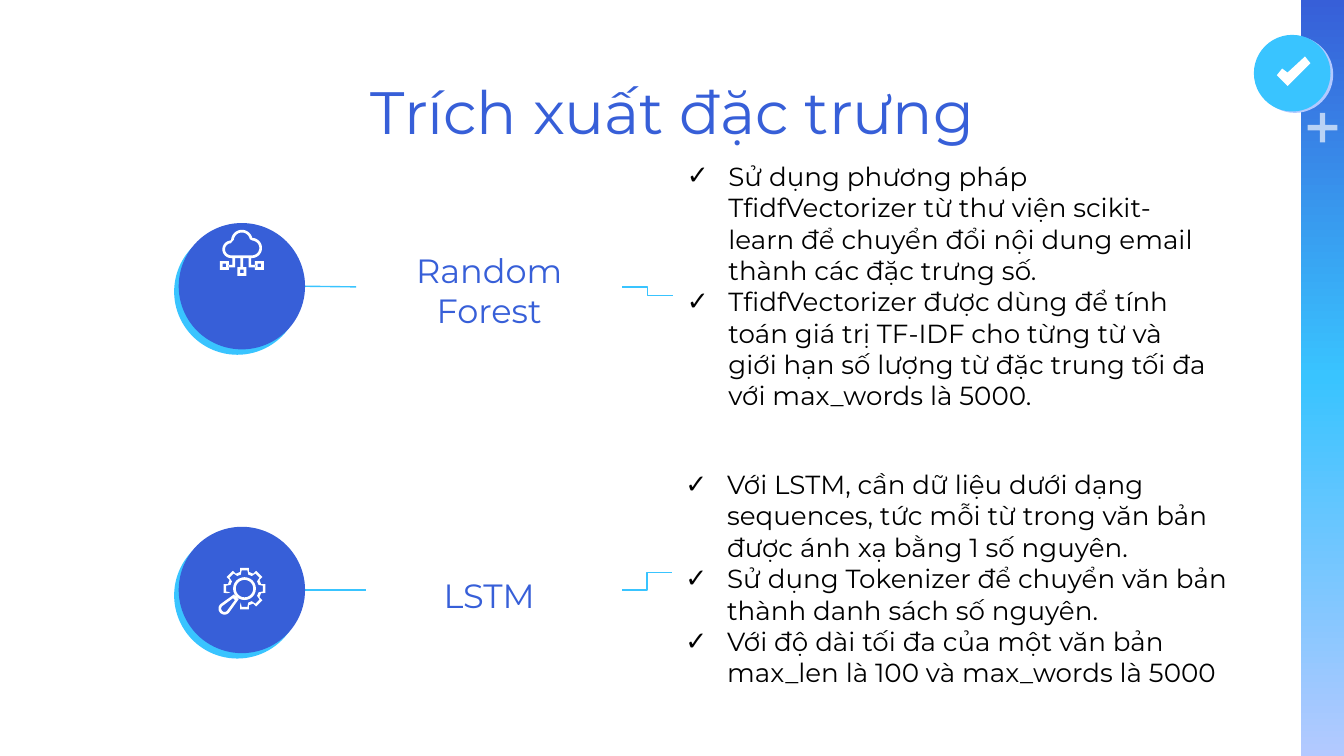
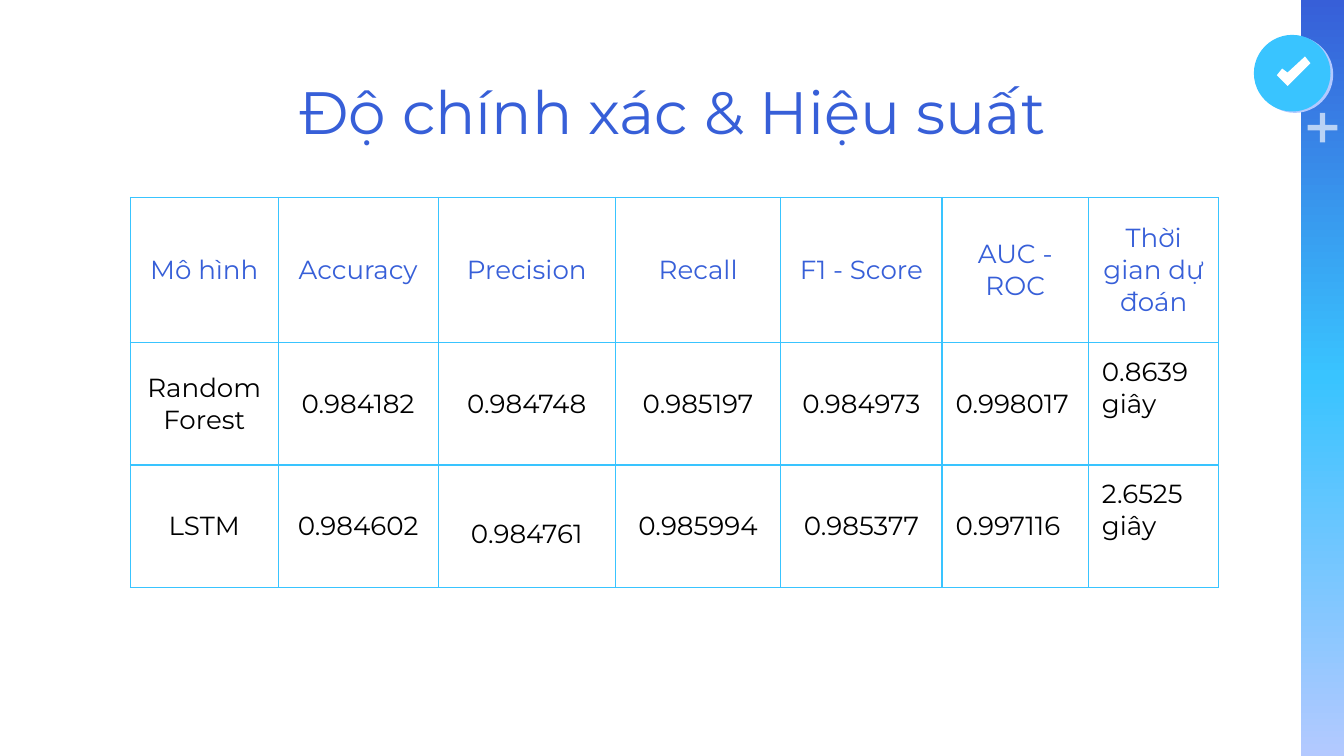
from dataclasses import dataclass
from math import cos, radians, sin

from pptx import Presentation
from pptx.dml.color import RGBColor
from pptx.enum.shapes import MSO_CONNECTOR, MSO_SHAPE
from pptx.enum.text import MSO_ANCHOR, MSO_AUTO_SIZE, PP_ALIGN
from pptx.oxml import parse_xml
from pptx.oxml.ns import nsdecls, qn
from pptx.util import Inches, Pt

CENTER, LEFT = PP_ALIGN.CENTER, PP_ALIGN.LEFT
TOP, MIDDLE, BOTTOM = MSO_ANCHOR.TOP, MSO_ANCHOR.MIDDLE, MSO_ANCHOR.BOTTOM
RECTANGLE, OVAL = MSO_SHAPE.RECTANGLE, MSO_SHAPE.OVAL
STRAIGHT, ELBOW = MSO_CONNECTOR.STRAIGHT, MSO_CONNECTOR.ELBOW
LEFT_SIDE, RIGHT_SIDE = 1, 3
TWO_CONTENT, TITLE_ONLY = 3, 5


@dataclass(frozen=True)
class Theme:
    font: str = "Montserrat"
    blue: str = "375FD8"
    cyan: str = "39C4FF"
    pale: str = "B3C9FF"
    white: str = "FFFFFF"
    black: str = "000000"
    title_size: int = 32
    label_size: int = 18
    body_size: int = 14
    line_width: float = 0.75
    margin: float = 0.1


THEME = Theme()
WIDTH = 10
HEIGHT = WIDTH * 9 / 16
BAND_WIDTH = 0.32
TITLE_BOX = (0.79, 0.46, 8.43, 0.64)

# Content: feature extraction
FEATURES_TITLE = "Trích xuất đặc trưng"
MODELS = [
    {
        "name": "Random Forest",
        "circle_top": 1.66, "label_box": (2.65, 1.71, 1.98, 0.85),
        "line": (2.13, 2.65, 2.14), "list_box": (5.01, 1.24, 4.08, 1.92),
        "joined": True,
        "points": [
            "Sử dụng phương pháp TfidfVectorizer từ thư viện scikit-learn "
            "để chuyển đổi nội dung email thành các đặc trưng số.",
            "TfidfVectorizer được dùng để tính toán giá trị TF-IDF cho từng từ "
            "và giới hạn số lượng từ đặc trung tối đa với max_words là 5000.",
        ],
    },
    {
        "name": "LSTM",
        "circle_top": 3.92, "label_box": (2.65, 4.1, 1.98, 0.58),
        "line": (4.39, 2.72, 4.39), "list_box": (5, 3.3, 4.45, 1.92),
        "joined": False,
        "points": [
            "Với LSTM, cần dữ liệu dưới dạng sequences, tức mỗi từ trong "
            "văn bản được ánh xạ bằng 1 số nguyên.",
            "Sử dụng Tokenizer để chuyển văn bản thành danh sách số nguyên.",
            "Với độ dài tối đa của một văn bản max_len là 100 và "
            "max_words là 5000",
        ],
    },
]
CIRCLE_LEFT, CIRCLE_SIZE = 1.33, 0.94

# Content: model scores
SCORES_TITLE = "Độ chính xác & Hiệu suất"
SCORES = [
    ["Mô hình", "Accuracy", "Precision", "Recall", "F1 - Score",
     "AUC - ROC", "Thời gian dự đoán"],
    ["Random Forest", "0.984182", "0.984748", "0.985197", "0.984973",
     "0.998017", "0.8639\ngiây"],
    ["LSTM", "0.984602", "0.984761", "0.985994", "0.985377",
     "0.997116", "2.6525\ngiây"],
]
TABLE_LEFT, TABLE_TOP = 0.97, 1.47
COLUMN_WIDTHS = [1.1, 1.19, 1.32, 1.23, 1.2, 1.09, 0.97]
ROW_HEIGHTS = [1.08, 0.91, 0.91]
FIRST_LEFT_COLUMN, TIME_COLUMN = 5, 6
LOOSE_CELL = (2, 2)

# Badge outlines, in inches
CHECK = [(9.71, 0.42), (9.58, 0.54), (9.54, 0.51), (9.5, 0.56),
         (9.58, 0.64), (9.75, 0.47)]
PLUS_CENTER, PLUS_ARM, PLUS_HALF = (9.84, 0.95), 0.11, 0.02


def color(value):
    return RGBColor.from_string(value)


def inches(values):
    return [Inches(value) for value in values]


def place(shape, box):
    shape.left, shape.top, shape.width, shape.height = inches(box)


# Text
def set_frame(frame, anchor):
    frame.word_wrap = True
    frame.auto_size = MSO_AUTO_SIZE.NONE
    frame.vertical_anchor = anchor
    margin = Inches(THEME.margin)
    frame.margin_left = frame.margin_right = margin
    frame.margin_top = frame.margin_bottom = margin


def write(frame, lines, size, ink, align=LEFT):
    for index, line in enumerate(lines):
        paragraph = frame.add_paragraph() if index else frame.paragraphs[0]
        paragraph.alignment = align
        paragraph.space_before = Pt(0)
        run = paragraph.add_run()
        run.text = line
        run.font.name, run.font.size = THEME.font, Pt(size)
        run.font.color.rgb = color(ink)


def add_bullets(frame):
    for paragraph in frame.paragraphs:
        properties = paragraph._p.get_or_add_pPr()
        properties.set("marL", str(Inches(0.31)))
        properties.set("indent", str(-Inches(0.31)))
        properties.append(parse_xml(
            f'<a:buClr {nsdecls("a")}><a:srgbClr val="{THEME.black}"/></a:buClr>'))
        properties.append(parse_xml(f'<a:buChar {nsdecls("a")} char="✓"/>'))


def add_titled_slide(presentation, layout_index, title):
    slide = presentation.slides.add_slide(presentation.slide_layouts[layout_index])
    place(slide.shapes.title, TITLE_BOX)
    frame = slide.shapes.title.text_frame
    set_frame(frame, TOP)
    write(frame, [title], THEME.title_size, THEME.blue, CENTER)
    return slide


# Shapes
def paint(shape, fill):
    shape.fill.solid()
    shape.fill.fore_color.rgb = color(fill)
    shape.line.fill.background()
    shape.shadow.inherit = False
    return shape


def add_circle(slide, left, top, size, fill):
    return paint(slide.shapes.add_shape(
        OVAL, *inches((left, top, size, size))), fill)


def add_outline(slide, contours, fill):
    paths = [[tuple(inches(point)) for point in contour] for contour in contours]
    builder = slide.shapes.build_freeform(*paths[0][0])
    for index, path in enumerate(paths):
        if index:
            builder.move_to(*path[0])
        builder.add_line_segments(path[1:], close=True)
    return paint(builder.convert_to_shape(), fill)


def add_line(slide, kind, start, end):
    line = slide.shapes.add_connector(kind, *inches(start + end))
    line.line.color.rgb = color(THEME.cyan)
    line.line.width = Pt(THEME.line_width)
    line.element.spPr.append(parse_xml(f'<a:effectLst {nsdecls("a")}/>'))
    return line


# Icon geometry
def polar(center, radius, angle):
    turn = radians(angle)
    return center[0] + radius * cos(turn), center[1] + radius * sin(turn)


def arc(center, radius, start, end, steps=24):
    return [polar(center, radius, start + (end - start) * step / steps)
            for step in range(steps + 1)]


def box_contour(left, top, right, bottom):
    return [(left, top), (right, top), (right, bottom), (left, bottom)]


def cloud_icon(x, y):
    def lobes(grow):
        return (arc((x - 0.08, y - 0.025), 0.055 + grow, 90, 265)
                + arc((x, y - 0.09), 0.07 + grow, 185, 350)
                + arc((x + 0.075, y - 0.035), 0.065 + grow, 275, 450))

    contours = [lobes(0.01), lobes(-0.01),
                box_contour(x - 0.01, y + 0.04, x + 0.01, y + 0.11)]
    for side in (-1, 1):
        leg = [(0.05, 0.04), (0.07, 0.04), (0.07, 0.09), (0.1, 0.09),
               (0.1, 0.11), (0.05, 0.11)]
        contours.append([(x + side * dx, y + dy) for dx, dy in leg])
    for dx, dy in ((-0.13, 0.095), (0, 0.14), (0.13, 0.095)):
        for half in (0.033, 0.013):
            contours.append(box_contour(x + dx - half, y + dy - half,
                                        x + dx + half, y + dy + half))
    return contours


def gear_icon(x, y):
    hub, handle_angle = (x, y), 135

    def teeth(tip, root, tip_half):
        profile = [(root, -15), (tip, -tip_half), (tip, tip_half), (root, 15)]
        return [polar(hub, radius, 180 + 45 * tooth + offset)
                for tooth in range(7) for radius, offset in profile]

    def handle(end_radius, near_half, near_distance):
        end = polar(hub, 0.21, handle_angle)
        near = polar(hub, near_distance, handle_angle)
        return (arc(end, end_radius, 45, 225)
                + [polar(near, near_half, 225), polar(near, near_half, 45)])

    rim = teeth(0.158, 0.128, 12) + teeth(0.138, 0.108, 9)[::-1]
    return [rim, arc(hub, 0.085, 0, 360), arc(hub, 0.065, 0, 360),
            handle(0.045, 0.025, 0.087), handle(0.025, 0.01, 0.11)]


# Shared side band and badge, moved to the slide master
def decorate_master(presentation, slide):
    band = slide.shapes.add_shape(
        RECTANGLE, *inches((WIDTH - BAND_WIDTH, 0, BAND_WIDTH, HEIGHT)))
    paint(band, THEME.blue)
    stops = "".join(
        f'<a:gs pos="{position}"><a:srgbClr val="{value}"/></a:gs>'
        for position, value in
        ((0, THEME.blue), (50000, THEME.cyan), (100000, THEME.pale)))
    properties = band.element.spPr
    properties.replace(properties.find(qn("a:solidFill")), parse_xml(
        f'<a:gradFill {nsdecls("a")} rotWithShape="1"><a:gsLst>{stops}</a:gsLst>'
        '<a:lin ang="5400000" scaled="0"/></a:gradFill>'))

    (x, y), arm, half = PLUS_CENTER, PLUS_ARM, PLUS_HALF
    corners = [(-half, -arm), (half, -arm), (half, -half), (arm, -half),
               (arm, half), (half, half)]
    corners += [(-dx, -dy) for dx, dy in corners]
    plus = add_outline(slide, [[(x + dx, y + dy) for dx, dy in corners]], THEME.white)
    plus.element.spPr.find(qn("a:solidFill"))[0].append(
        parse_xml(f'<a:alpha {nsdecls("a")} val="65000"/>'))

    parts = [band, add_circle(slide, 9.35, 0.27, 0.57, THEME.pale),
             add_circle(slide, 9.33, 0.26, 0.57, THEME.cyan),
             add_outline(slide, [CHECK], THEME.white), plus]
    for part in parts:
        presentation.slide_master.shapes.element.append(part.element)


# Slide: feature extraction
def build_features(slide):
    bodies = [holder for holder in slide.placeholders
              if holder.placeholder_format.idx in (1, 2)]
    for model, body, icon in zip(MODELS, bodies, (cloud_icon(1.8, 1.88),
                                                  gear_icon(1.82, 4.38))):
        place(body, model["list_box"])
        set_frame(body.text_frame, BOTTOM)
        write(body.text_frame, model["points"], THEME.body_size, THEME.black)
        add_bullets(body.text_frame)

        label = slide.shapes.add_textbox(*inches(model["label_box"]))
        set_frame(label.text_frame, BOTTOM)
        write(label.text_frame, [model["name"]], THEME.label_size, THEME.blue, CENTER)

        start_y, end_x, end_y = model["line"]
        line = add_line(slide, STRAIGHT, (CIRCLE_LEFT + CIRCLE_SIZE, start_y),
                        (end_x, end_y))
        if model["joined"]:
            line.end_connect(label, LEFT_SIDE)
        elbow = add_line(slide, ELBOW, (0, 0), (1, 1))
        elbow.begin_connect(label, RIGHT_SIDE)
        elbow.end_connect(body, LEFT_SIDE)

        circle = add_circle(slide, CIRCLE_LEFT, model["circle_top"],
                            CIRCLE_SIZE, THEME.blue)
        circle.element.spPr.find(qn("a:effectLst")).append(parse_xml(
            f'<a:outerShdw {nsdecls("a")} dist="{Pt(3.8)}" dir="{130 * 60000}" '
            f'algn="bl" rotWithShape="0"><a:srgbClr val="{THEME.cyan}"/>'
            '</a:outerShdw>'))
        add_outline(slide, icon, THEME.white)


# Slide: model scores
def add_borders(cell):
    properties = cell._tc.get_or_add_tcPr()
    for position, side in enumerate(("lnL", "lnR", "lnT", "lnB")):
        properties.insert(position, parse_xml(
            f'<a:{side} {nsdecls("a")} w="{Pt(THEME.line_width)}"><a:solidFill>'
            f'<a:srgbClr val="{THEME.cyan}"/></a:solidFill></a:{side}>'))


def build_scores(slide):
    table = slide.shapes.add_table(
        len(SCORES), len(COLUMN_WIDTHS), *inches(
            (TABLE_LEFT, TABLE_TOP, sum(COLUMN_WIDTHS), sum(ROW_HEIGHTS)))).table
    table.first_row = table.horz_banding = False
    for column, width in zip(table.columns, COLUMN_WIDTHS):
        column.width = Inches(width)
    for row_index, (values, height) in enumerate(zip(SCORES, ROW_HEIGHTS)):
        table.rows[row_index].height = Inches(height)
        for column_index, value in enumerate(values):
            cell = table.cell(row_index, column_index)
            header = row_index == 0
            loose = (row_index, column_index) == LOOSE_CELL
            centered = header or column_index < FIRST_LEFT_COLUMN
            timed = not header and column_index == TIME_COLUMN
            cell.fill.background()
            cell.vertical_anchor = TOP if timed else MIDDLE
            cell.margin_left = cell.margin_right = Inches(0.07 if loose else THEME.margin)
            cell.margin_top = cell.margin_bottom = Inches(0 if loose else THEME.margin)
            write(cell.text_frame, value.split("\n"), THEME.body_size,
                  THEME.blue if header else THEME.black, CENTER if centered else LEFT)
            if loose:
                cell.text_frame.paragraphs[0].line_spacing = 1.5
            add_borders(cell)


def main():
    presentation = Presentation()
    presentation.slide_width, presentation.slide_height = inches((WIDTH, HEIGHT))
    features = add_titled_slide(presentation, TWO_CONTENT, FEATURES_TITLE)
    decorate_master(presentation, features)
    build_features(features)
    build_scores(add_titled_slide(presentation, TITLE_ONLY, SCORES_TITLE))
    presentation.save("out.pptx")


if __name__ == "__main__":
    main()
